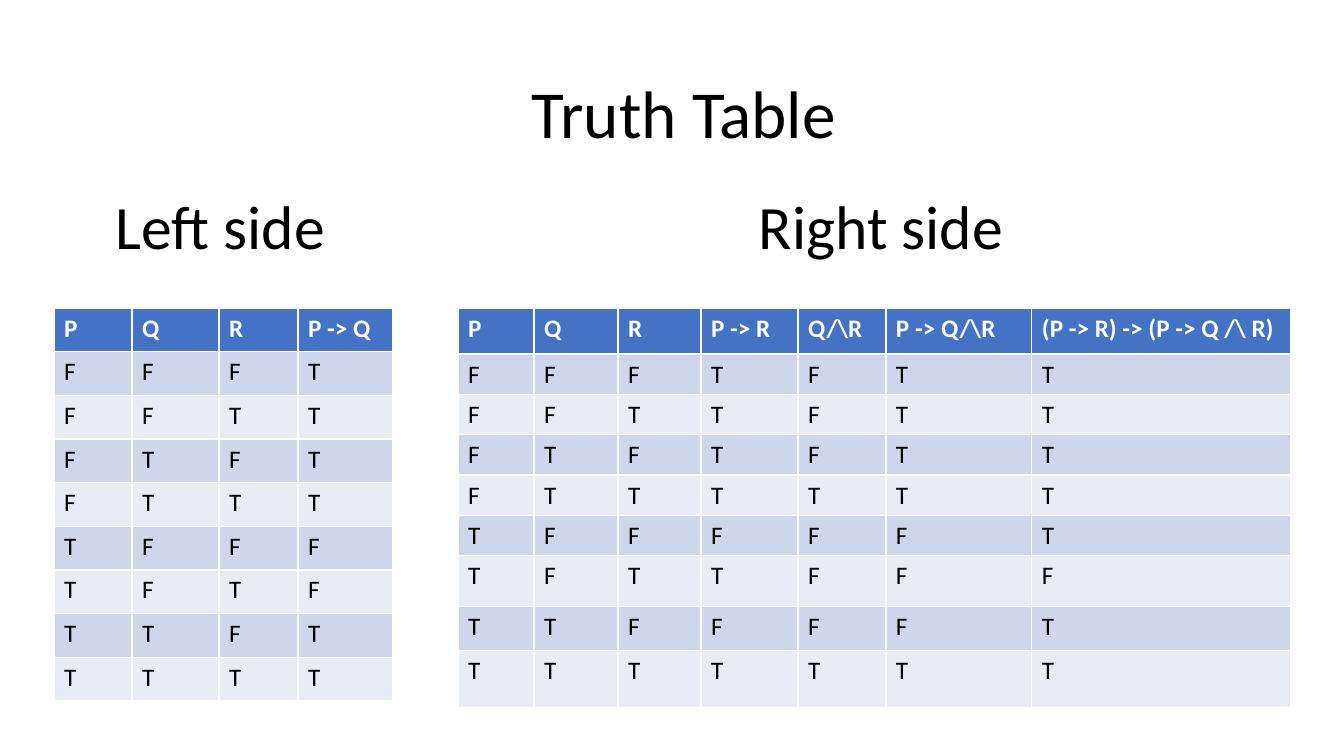
from itertools import product

from lxml import etree
from pptx import Presentation
from pptx.dml.color import RGBColor
from pptx.enum.text import MSO_ANCHOR
from pptx.oxml.ns import qn
from pptx.util import Pt

SCALE = 914400 / 100.8
MIDDLE = MSO_ANCHOR.MIDDLE
FONT = "Calibri"
BLACK, WHITE = "000000", "FFFFFF"
HEADER_FILL = "4472C4"
BAND_FILLS = ("CFD5EA", "E9EBF5")
CASES = list(product((False, True), repeat=3))


def px(length):
    """Turn pixels into EMU."""
    return round(length * SCALE)


def color(hex_string):
    """Turn a hex string into a colour."""
    return RGBColor.from_string(hex_string)


def style(paragraph, size, hex_string, bold=False):
    """Set the font of a paragraph."""
    font = paragraph.font
    font.name, font.size, font.bold = FONT, Pt(size), bold
    font.color.rgb = color(hex_string)


def implies(premise, conclusion):
    """Evaluate a logical implication."""
    return not premise or conclusion


def left_values(p, q, r):
    """Give one row of the left truth table."""
    return p, q, r, implies(p, q)


def right_values(p, q, r):
    """Give one row of the right truth table."""
    p_to_r, both, p_to_both = implies(p, r), q and r, implies(p, q and r)
    return p, q, r, p_to_r, both, p_to_both, implies(p_to_r, p_to_both)


def add_title(slide, left, top, width, height):
    """Place the slide title in its box."""
    shape = slide.shapes.add_textbox(px(left), px(top), px(width), px(height))
    shape.text_frame.word_wrap = False
    paragraph = shape.text_frame.paragraphs[0]
    paragraph.text = "Truth Table"
    style(paragraph, 48, BLACK)


def add_side_headings(slide, left, top, width, height, tab):
    """Place both side headings on one line, the second at a tab stop."""
    shape = slide.shapes.add_textbox(px(left), px(top), px(width), px(height))
    frame = shape.text_frame
    frame.word_wrap = True
    frame.vertical_anchor = MIDDLE
    paragraph = frame.paragraphs[0]
    paragraph.text = "Left side\tRight side"
    paragraph.line_spacing = 0.9
    tabs = etree.SubElement(paragraph._p.get_or_add_pPr(), qn("a:tabLst"))
    etree.SubElement(tabs, qn("a:tab"), pos=str(px(tab)), algn="l")
    style(paragraph, 44, BLACK)


def add_truth_table(slide, left, top, widths, heights, headers, values):
    """Place a truth table whose rows are worked out from the cases."""
    rows = [headers] + [["T" if value else "F" for value in values(*case)] for case in CASES]
    table = slide.shapes.add_table(len(rows), len(headers), px(left), px(top),
                                   px(sum(widths)), px(sum(heights))).table
    for column, width in zip(table.columns, widths):
        column.width = px(width)
    for index, (row, height, texts) in enumerate(zip(table.rows, heights, rows)):
        row.height = px(height)
        is_header = index == 0
        fill = HEADER_FILL if is_header else BAND_FILLS[(index - 1) % 2]
        for cell, text in zip(row.cells, texts):
            cell.fill.solid()
            cell.fill.fore_color.rgb = color(fill)
            paragraph = cell.text_frame.paragraphs[0]
            paragraph.text = text
            style(paragraph, 18, WHITE if is_header else BLACK, is_header)


def main():
    """Build the slide and save it."""
    presentation = Presentation()
    presentation.slide_width, presentation.slide_height = px(1344), px(756)
    slide = presentation.slides.add_slide(presentation.slide_layouts[6])
    add_side_headings(slide, 106, 157, 1159, 146, 643)
    add_truth_table(slide, 54, 308, [78, 87, 79, 95], [393 / 9] * 9,
                    ["P", "Q", "R", "P -> Q"], left_values)
    add_title(slide, 522, 66, 328, 92)
    add_truth_table(slide, 458, 308, [76, 84, 83, 97, 88, 146, 259],
                    [46] + [40] * 5 + [51, 44, 57],
                    ["P", "Q", "R", "P -> R", r"Q/\R", r"P -> Q/\R",
                     r"(P -> R) -> (P -> Q /\ R)"], right_values)
    presentation.save("out.pptx")


if __name__ == "__main__":
    main()
